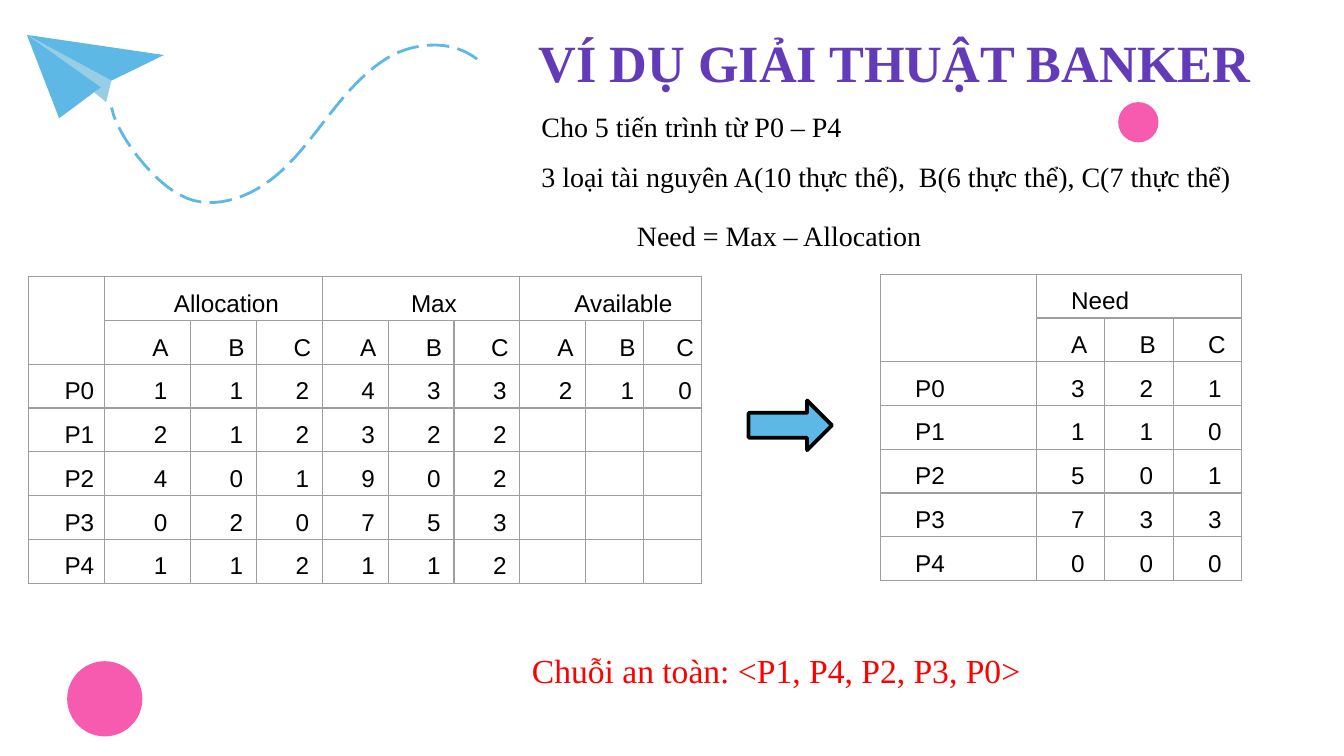
from dataclasses import dataclass
from lxml.etree import SubElement
from pptx import Presentation
from pptx.dml.color import RGBColor
from pptx.enum.dml import MSO_LINE
from pptx.enum.shapes import MSO_SHAPE
from pptx.enum.text import MSO_ANCHOR, PP_ALIGN
from pptx.oxml.ns import qn
from pptx.util import Inches, Pt


@dataclass(frozen=True)
class Theme:
    purple: str = "633BB9"
    blue: str = "5EB8E6"
    pale_blue: str = "97CDE5"
    pink: str = "F75BAF"
    red: str = "FF0000"
    black: str = "000000"
    border: str = "9E9E9E"
    heading_font: str = "Times New Roman"
    table_font: str = "Arial"
    title_size: int = 28
    answer_size: int = 18
    body_size: int = 15
    table_size: int = 13


THEME = Theme()
COLUMNS = 100
SLIDE_WIDTH = Inches(10)
SLIDE_HEIGHT = SLIDE_WIDTH * 9 // 16
TABLE_ROW = 3.24

NOSE, TAIL, FOLD = (2, 2.6), (7.9, 7.6), (7.5, 6.5)
BODY_EDGE, RIGHT_TIP, LEFT_TIP = (8.3, 6), (12.2, 4.1), (4.4, 8.8)
PLANE_FACETS = [
    ((NOSE, TAIL, BODY_EDGE), THEME.pale_blue),
    ((NOSE, TAIL, FOLD), THEME.pale_blue),
    ((NOSE, BODY_EDGE, RIGHT_TIP), THEME.blue),
    ((NOSE, LEFT_TIP, FOLD), THEME.blue),
]
TRAIL_START = (35.5, 4.4)
TRAIL_CURVES = [
    ((33.7, 3), (31.2, 3.1), (29.2, 4.1)),
    ((27.2, 5.2), (25.7, 7), (24.3, 8.8)),
    ((22.9, 10.6), (21.5, 12.5), (19.7, 13.7)),
    ((17.8, 15), (15.3, 15.6), (13.4, 14.5)),
    ((11.5, 13.6), (8.7, 10.1), (8.3, 8)),
]

STATE_COLUMNS = [5.7, 6.4] + [4.9] * 6 + [4.3] * 2
STATE_ROWS = [
    ["", "Allocation", "", "", "Max", "", "", "Available", "", ""],
    ["", *"ABCABCABC"],
    ["P0", *"112433210"],
    ["P1", *"212322", "", "", ""],
    ["P2", *"401902", "", "", ""],
    ["P3", *"020753", "", "", ""],
    ["P4", *"112112", "", "", ""],
]
NEED_COLUMNS = [11.6] + [5.1] * 3
NEED_ROWS = [
    ["", "Need", "", ""],
    ["", *"ABC"],
    ["P0", *"321"],
    ["P1", *"110"],
    ["P2", *"501"],
    ["P3", *"733"],
    ["P4", *"000"],
]


def grid(*units):
    return [round(unit * SLIDE_WIDTH / COLUMNS) for unit in units]


def color(value):
    return RGBColor.from_string(value)


def style_paragraph(paragraph, font_name, size, text_color, bold=False):
    for run in paragraph.runs:
        run.font.name = font_name
        run.font.size = Pt(size)
        run.font.bold = bold
        run.font.color.rgb = color(text_color)


def add_text(slide, box, text, size, text_color, bold=False, wrap=True,
             spacing=1.0, align=PP_ALIGN.LEFT, anchor=MSO_ANCHOR.TOP):
    text_frame = slide.shapes.add_textbox(*grid(*box)).text_frame
    text_frame.text = text
    text_frame.word_wrap = wrap
    text_frame.vertical_anchor = anchor
    for paragraph in text_frame.paragraphs:
        paragraph.alignment = align
        paragraph.line_spacing = spacing
        style_paragraph(paragraph, THEME.heading_font, size, text_color, bold)


def add_preset(slide, kind, box, fill):
    shape = slide.shapes.add_shape(kind, *grid(*box))
    shape.shadow.inherit = False
    shape.fill.solid()
    shape.fill.fore_color.rgb = color(fill)
    shape.line.fill.background()
    return shape


def add_outline(slide, points, close):
    start, *others = [grid(*point) for point in points]
    builder = slide.shapes.build_freeform(*start)
    builder.add_line_segments(others, close=close)
    shape = builder.convert_to_shape()
    shape.shadow.inherit = False
    return shape


def add_facet(slide, points, fill):
    shape = add_outline(slide, points, close=True)
    shape.fill.solid()
    shape.fill.fore_color.rgb = color(fill)
    shape.line.fill.background()


def curve_points(start, curves, steps=12):
    points = [start]
    for first, second, end in curves:
        corners = (points[-1], first, second, end)
        for step in range(1, steps + 1):
            t = step / steps
            weights = ((1 - t) ** 3, 3 * t * (1 - t) ** 2, 3 * t * t * (1 - t), t ** 3)
            points.append(tuple(
                sum(weight * corner[axis] for weight, corner in zip(weights, corners))
                for axis in (0, 1)))
    return points


def add_trail(slide):
    shape = add_outline(slide, curve_points(TRAIL_START, TRAIL_CURVES), close=False)
    shape.fill.background()
    shape.line.color.rgb = color(THEME.blue)
    shape.line.width = Pt(1.5)
    shape.line.dash_style = MSO_LINE.LONG_DASH


def add_borders(cell):
    properties = cell._tc.get_or_add_tcPr()
    for side in ("lnL", "lnR", "lnT", "lnB"):
        line = SubElement(properties, qn(f"a:{side}"), w=str(Pt(0.75)))
        fill = SubElement(line, qn("a:solidFill"))
        SubElement(fill, qn("a:srgbClr"), val=THEME.border)


def fill_cell(cell, text, align):
    add_borders(cell)
    cell.fill.background()
    cell.margin_left = cell.margin_right = Inches(0.07)
    cell.margin_top = cell.margin_bottom = 0
    if text:
        cell.text_frame.text = text
        paragraph = cell.text_frame.paragraphs[0]
        paragraph.alignment = align
        paragraph.line_spacing = 1.5
        paragraph._p.get_or_add_pPr().set("marL", str(Inches(0.19)))
        style_paragraph(paragraph, THEME.table_font, THEME.table_size, THEME.black)


def add_matrix(slide, left, top, widths, rows, align):
    box = grid(left, top, sum(widths), TABLE_ROW * len(rows))
    table = slide.shapes.add_table(len(rows), len(widths), *box).table
    table.first_row = table.horz_banding = False
    for column, width in zip(table.columns, grid(*widths)):
        column.width = width
    for row_index, row in enumerate(rows):
        for column_index, text in enumerate(row):
            fill_cell(table.cell(row_index, column_index), text, align)
    table.cell(0, 0).merge(table.cell(1, 0))
    for first in range(1, len(widths), 3):
        table.cell(0, first).merge(table.cell(0, first + 2))


def main():
    presentation = Presentation()
    presentation.slide_width = SLIDE_WIDTH
    presentation.slide_height = SLIDE_HEIGHT
    slide = presentation.slides.add_slide(presentation.slide_layouts[6])

    for points, fill in PLANE_FACETS:
        add_facet(slide, points, fill)
    add_trail(slide)
    add_preset(slide, MSO_SHAPE.OVAL, (83.2, 7.6, 3, 3), THEME.pink)
    add_preset(slide, MSO_SHAPE.OVAL, (5, 49.2, 5.6, 5.6), THEME.pink)

    add_text(slide, (39.1, 0.4, 55.6, 8.3), "VÍ DỤ GIẢI THUẬT BANKER",
             THEME.title_size, THEME.purple, bold=True, anchor=MSO_ANCHOR.MIDDLE)
    add_text(slide, (39.3, 6.4, 57.8, 8.1),
             "Cho 5 tiến trình từ P0 – P4\n"
             "3 loại tài nguyên A(10 thực thể),  B(6 thực thể), C(7 thực thể)",
             THEME.body_size, THEME.black, spacing=1.5, align=PP_ALIGN.JUSTIFY)
    add_matrix(slide, 2.1, 20.6, STATE_COLUMNS, STATE_ROWS, PP_ALIGN.CENTER)
    add_text(slide, (46.4, 14.5, 24, 4.8), "Need = Max – Allocation",
             THEME.body_size, THEME.black, spacing=1.5, align=PP_ALIGN.JUSTIFY)
    add_matrix(slide, 65.5, 20.4, NEED_COLUMNS, NEED_ROWS, PP_ALIGN.JUSTIFY)

    arrow = add_preset(slide, MSO_SHAPE.RIGHT_ARROW, (55.7, 29.8, 6.2, 3.7), THEME.blue)
    arrow.line.color.rgb = color(THEME.black)
    arrow.line.width = Pt(2)
    add_text(slide, (38.6, 47.9, 38.7, 4), "Chuỗi an toàn: <P1, P4, P2, P3, P0>",
             THEME.answer_size, THEME.red, wrap=False)

    presentation.save("out.pptx")


if __name__ == "__main__":
    main()
